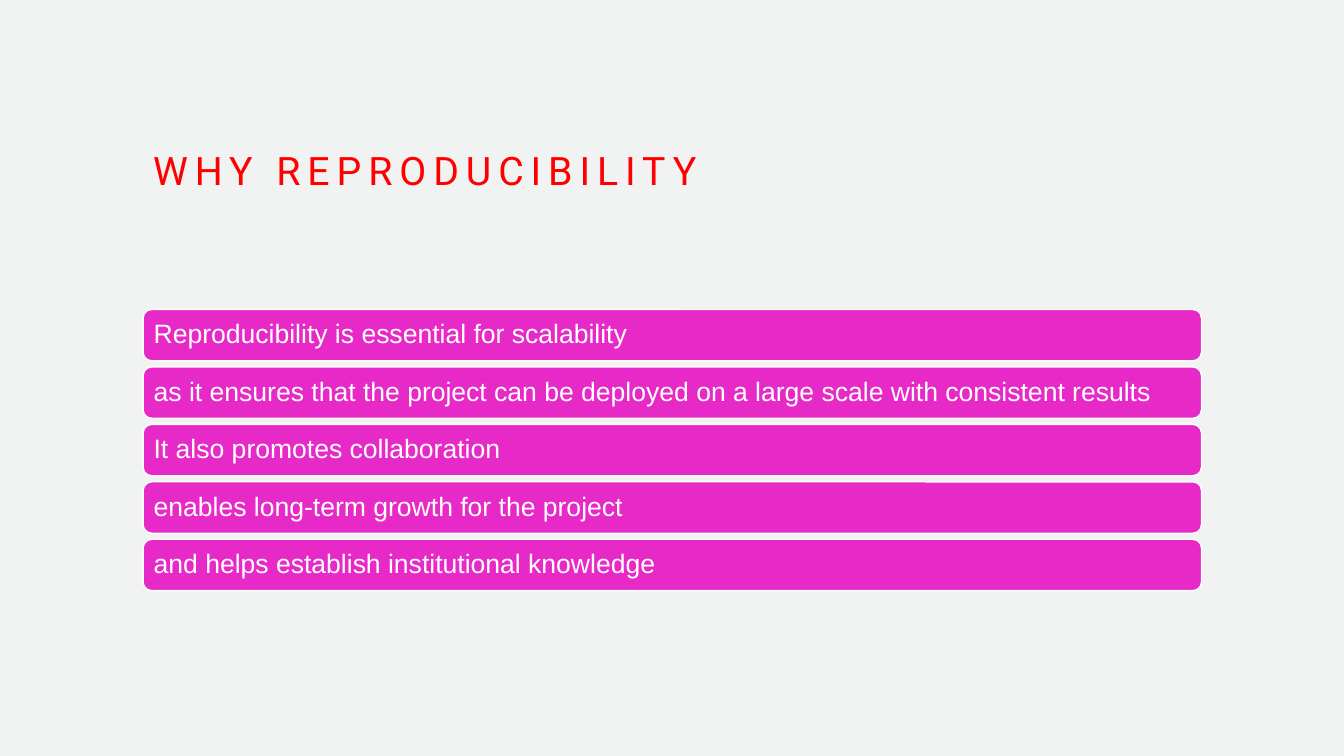
from dataclasses import dataclass

from pptx import Presentation
from pptx.dml.color import RGBColor
from pptx.enum.shapes import MSO_SHAPE as Shape
from pptx.enum.text import MSO_ANCHOR as Anchor, MSO_AUTO_SIZE as AutoSize, PP_ALIGN as Align
from pptx.slide import Slide
from pptx.text.text import TextFrame
from pptx.util import Pt


@dataclass(frozen=True)
class TextStyle:
    font: str
    size: float
    color: RGBColor
    line_spacing: float
    inset: float
    tracking: float = 0


@dataclass(frozen=True)
class Theme:
    background: RGBColor
    bar_fill: RGBColor
    bar_line: RGBColor
    title: TextStyle
    reason: TextStyle


@dataclass(frozen=True)
class Box:
    left: float
    top: float
    width: float
    height: float


WHITE = RGBColor(0xFF, 0xFF, 0xFF)
THEME = Theme(
    background=RGBColor(0xF0, 0xF3, 0xF1),
    bar_fill=RGBColor(0xE7, 0x29, 0xC7),
    bar_line=WHITE,
    title=TextStyle("Roboto", 28, RGBColor(0xFF, 0, 0), 1.2, 7.2, tracking=5),
    reason=TextStyle("Arial", 19, WHITE, 0.9, 5.76),
)

LEFT, WIDTH = 102.24, 756
TITLE_BOX = Box(LEFT, 66.24, WIDTH, 102.96)
FIRST_BAR_TOP, BAR_HEIGHT, BAR_PITCH = 221.04, 36.72, 41.04

REASONS = (
    "Reproducibility is essential for scalability",
    "as it ensures that the project can be deployed on a large scale with consistent results",
    "It also promotes collaboration",
    "enables long-term growth for the project",
    "and helps establish institutional knowledge",
)


def write_text(frame: TextFrame, text: str, style: TextStyle) -> None:
    frame_format = {
        "word_wrap": True,
        "auto_size": AutoSize.NONE,
        "vertical_anchor": Anchor.MIDDLE,
        "margin_left": Pt(style.inset),
        "margin_right": Pt(style.inset),
    }
    for attribute, value in frame_format.items():
        setattr(frame, attribute, value)

    paragraph = frame.paragraphs[0]
    paragraph.alignment = Align.LEFT
    paragraph.line_spacing = style.line_spacing

    run = paragraph.add_run()
    run.text = text
    font_format = {"name": style.font, "size": Pt(style.size), "bold": False}
    for attribute, value in font_format.items():
        setattr(run.font, attribute, value)
    run.font.color.rgb = style.color
    if style.tracking:
        run._r.get_or_add_rPr().set("spc", str(round(style.tracking * 100)))


def place_title(slide: Slide, text: str, box: Box) -> None:
    title = slide.shapes.title
    for side in ("left", "top", "width", "height"):
        setattr(title, side, Pt(getattr(box, side)))
    write_text(title.text_frame, text, THEME.title)


def add_reason_bar(slide: Slide, text: str, box: Box) -> None:
    bar = slide.shapes.add_shape(
        Shape.ROUNDED_RECTANGLE, Pt(box.left), Pt(box.top), Pt(box.width), Pt(box.height)
    )
    bar.shadow.inherit = False
    bar.fill.solid()
    bar.fill.fore_color.rgb = THEME.bar_fill
    bar.line.color.rgb = THEME.bar_line
    bar.line.width = Pt(1)
    write_text(bar.text_frame, text, THEME.reason)


def main() -> None:
    deck = Presentation()
    deck.slide_width, deck.slide_height = Pt(960), Pt(540)
    title_only = deck.slide_layouts.get_by_name("Title Only")
    slide = deck.slides.add_slide(title_only)
    slide.background.fill.solid()
    slide.background.fill.fore_color.rgb = THEME.background

    place_title(slide, "WHY REPRODUCIBILITY", TITLE_BOX)
    for row, reason in enumerate(REASONS):
        bar_top = FIRST_BAR_TOP + row * BAR_PITCH
        add_reason_bar(slide, reason, Box(LEFT, bar_top, WIDTH, BAR_HEIGHT))

    deck.save("out.pptx")


if __name__ == "__main__":
    main()
